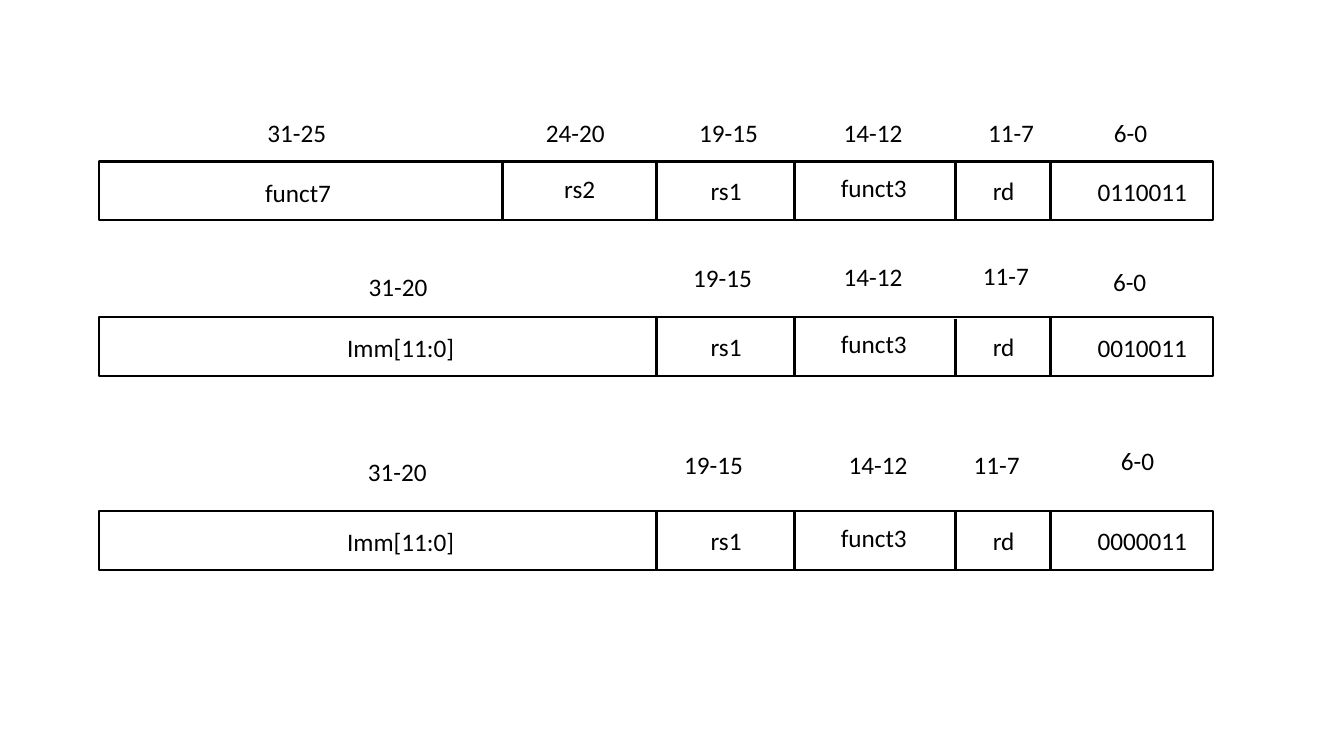
from collections import namedtuple
from dataclasses import dataclass

from lxml.etree import SubElement
from pptx import Presentation
from pptx.dml.color import RGBColor
from pptx.enum.shapes import MSO_CONNECTOR as Connector, MSO_SHAPE as Preset
from pptx.enum.text import MSO_AUTO_SIZE as AutoSize, PP_ALIGN as Align
from pptx.oxml.ns import qn
from pptx.util import Cm, Pt


@dataclass(frozen=True)
class Theme:
    ink: RGBColor = RGBColor(0, 0, 0)
    paper: RGBColor = RGBColor(255, 255, 255)
    font: str = "Calibri"
    text_size: float = 18
    frame_width: float = 1.5
    divider_width: float = 2.25
    opcode_width: float = 0.75


Field = namedtuple("Field", "name left width drop")
BitRange = namedtuple("BitRange", "bits left top indent")
Format = namedtuple("Format", "top opcode fields dividers ranges")

# Instruction layout, in centimetres
BAR_LEFT, BAR_WIDTH, BAR_HEIGHT = 2.49, 28.09, 1.48
OPCODE_LEFT, OPCODE_WIDTH, OPCODE_DROP = 27.41, 2.97, 0.23
LABEL_HEIGHT, RANGE_WIDTH = 1.03, 3.48
INSET = 0.25
WIDE, MEDIUM, NARROW = 0.72, 0.43, 0.29  # indents of the bit ranges

# Fields and (x, drop) dividers that every format has
SHARED_FIELDS = [Field("rd", 24.77, 1.42, 0.23),
                 Field("funct3", 20.94, 2.84, 0.16),
                 Field("rs1", 17.66, 2.08, 0.23)]
SHARED_DIVIDERS = [(26.47, 0), (24.08, 0.03), (20.02, 0), (16.54, 0)]
REGISTER_FIELDS = [Field("rs2", 13.97, 2.08, 0.17),
                   Field("funct7", 6.43, 3.05, 0.28)]
IMMEDIATE_FIELDS = [Field("Imm[11:0]", 8.5, 4.57, 0.26)]

FORMATS = [
    Format(4.07, "0110011", REGISTER_FIELDS, [(12.67, 0)], [
        BitRange("6-0", 27.1, 2.82, WIDE), BitRange("11-7", 23.93, 2.84, WIDE),
        BitRange("14-12", 20.29, 2.84, WIDE), BitRange("19-15", 16.94, 2.83, MEDIUM),
        BitRange("24-20", 13.08, 2.82, MEDIUM), BitRange("31-25", 6.2, 2.84, NARROW)]),
    Format(8, "0010011", IMMEDIATE_FIELDS, [], [
        BitRange("6-0", 27.08, 6.58, WIDE), BitRange("11-7", 23.8, 6.43, WIDE),
        BitRange("14-12", 20.29, 6.45, WIDE), BitRange("19-15", 16.79, 6.48, MEDIUM),
        BitRange("31-20", 9.04, 6.71, 0)]),
    Format(12.88, "0000011", IMMEDIATE_FIELDS, [], [
        BitRange("6-0", 27.28, 11.1, WIDE), BitRange("11-7", 23.57, 11.2, WIDE),
        BitRange("14-12", 20.42, 11.2, WIDE), BitRange("19-15", 16.56, 11.2, MEDIUM),
        BitRange("31-20", 9.02, 11.38, 0)]),
]


def set_text(shape, text, *, font, size, color, indent=0):
    frame = shape.text_frame
    frame.word_wrap = True
    frame.auto_size = AutoSize.SHAPE_TO_FIT_TEXT
    frame.margin_left = Cm(INSET + indent)
    paragraph = frame.paragraphs[0]
    paragraph.alignment = Align.LEFT
    run = paragraph.add_run()
    run.text = text
    run.font.name, run.font.size = font, Pt(size)
    run.font.color.rgb = color


class Diagram:
    def __init__(self, slide, theme):
        self.slide = slide
        self.theme = theme
        self.shapes = slide.shapes

    def start_group(self):
        self.shapes = self.slide.shapes.add_group_shape().shapes

    def fill_in(self, shape, text, indent=0):
        set_text(shape, text, font=self.theme.font, size=self.theme.text_size,
                 color=self.theme.ink, indent=indent)

    def box(self, left, top, width, height, line, line_width, fill=None):
        shape = self.shapes.add_shape(Preset.RECTANGLE, Cm(left), Cm(top), Cm(width), Cm(height))
        shape.shadow.inherit = False
        if fill is None:
            shape.fill.background()
        else:
            shape.fill.solid()
            shape.fill.fore_color.rgb = fill
        shape.line.color.rgb = line
        shape.line.width = Pt(line_width)
        return shape

    def label(self, text, left, top, width, indent=0):
        shape = self.shapes.add_textbox(Cm(left), Cm(top), Cm(width), Cm(LABEL_HEIGHT))
        self.fill_in(shape, text, indent)

    def divider(self, x, top):
        connector = self.shapes.add_connector(Connector.STRAIGHT, Cm(x), Cm(top),
                                              Cm(x), Cm(top + BAR_HEIGHT))
        connector.line.color.rgb = self.theme.ink
        connector.line.width = Pt(self.theme.divider_width)
        SubElement(connector._element.spPr, qn("a:effectLst"))

    def instruction(self, layout):
        theme, top = self.theme, layout.top
        self.start_group()
        # Bar and opcode
        self.box(BAR_LEFT, top, BAR_WIDTH, BAR_HEIGHT, theme.ink, theme.frame_width, theme.paper)
        opcode = self.box(OPCODE_LEFT, top + OPCODE_DROP, OPCODE_WIDTH, LABEL_HEIGHT,
                          theme.paper, theme.opcode_width)
        self.fill_in(opcode, layout.opcode)
        # Dividers and field names
        for x, drop in SHARED_DIVIDERS + layout.dividers:
            self.divider(x, top + drop)
        for field in SHARED_FIELDS + layout.fields:
            self.label(field.name, field.left, top + field.drop, field.width)
        # Bit ranges above the bar
        for item in layout.ranges:
            self.label(item.bits, item.left, item.top, RANGE_WIDTH, item.indent)


def main():
    presentation = Presentation()
    presentation.slide_width, presentation.slide_height = Cm(33.87), Cm(19.05)
    slide = presentation.slides.add_slide(presentation.slide_layouts[6])
    diagram = Diagram(slide, Theme())
    for layout in FORMATS:
        diagram.instruction(layout)
    presentation.save("out.pptx")


if __name__ == "__main__":
    main()
